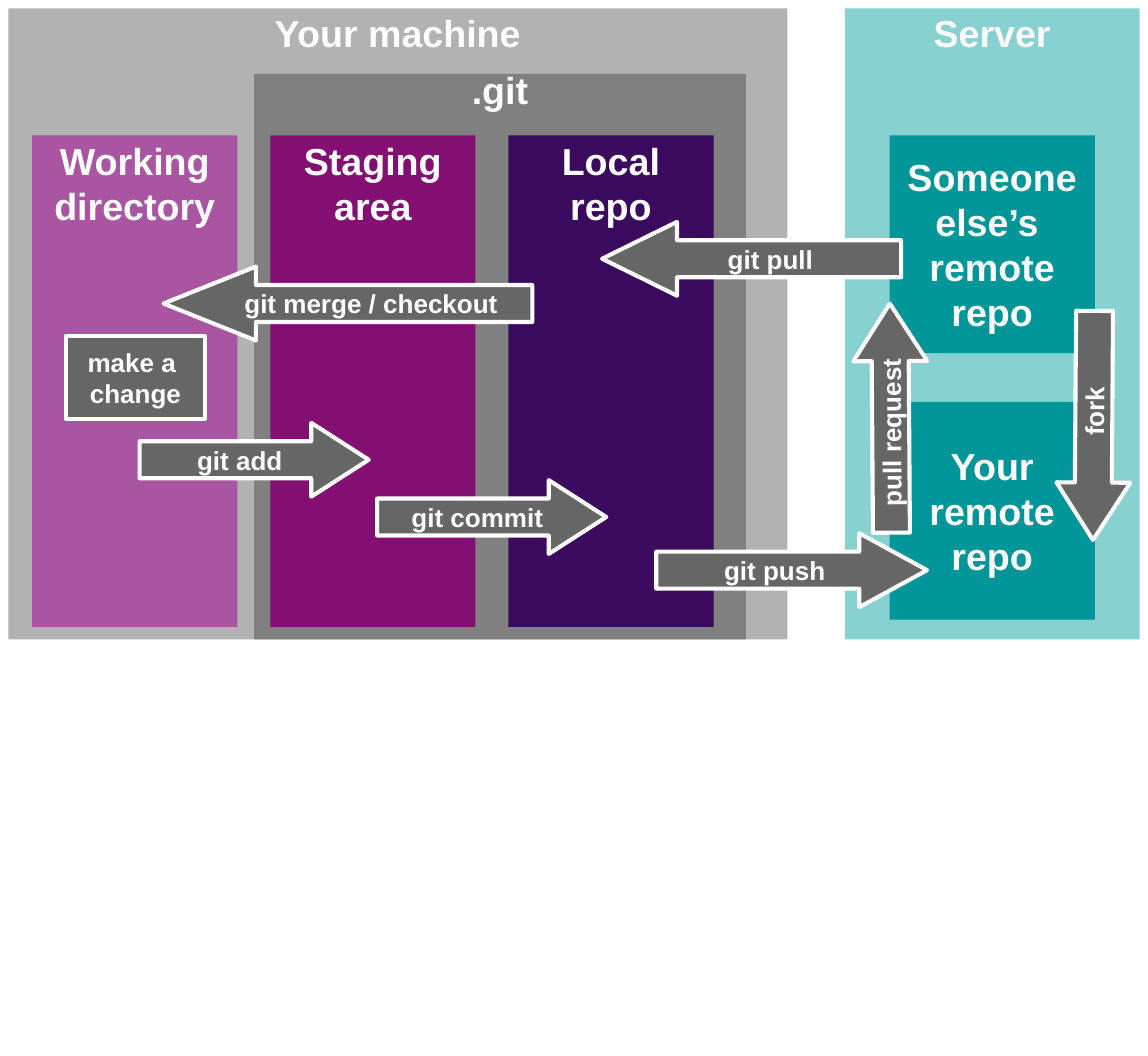
from pptx import Presentation
from pptx.dml.color import RGBColor
from pptx.enum.shapes import MSO_SHAPE
from pptx.enum.text import MSO_ANCHOR, PP_ALIGN
from pptx.util import Inches, Pt

RECT = MSO_SHAPE.RECTANGLE
RIGHT, LEFT = MSO_SHAPE.RIGHT_ARROW, MSO_SHAPE.LEFT_ARROW
TOP, MIDDLE = MSO_ANCHOR.TOP, MSO_ANCHOR.MIDDLE
CENTER = PP_ALIGN.CENTER

COLORS = {
    "machine": "B2B2B2", "git": "808080", "host": "87D1D1",
    "working": "AA55A1", "staging": "820F71", "local": "390A5D",
    "remote": "009598", "command": "666666", "white": "FFFFFF",
}
STORE_WIDTH = 1.97
ARROW_HEIGHT = 0.71


def color(name):
    return RGBColor.from_string(COLORS[name])


def write(shape, text, size=26, anchor=TOP, inset=0.02):
    """Write bold white centred lines, inset from the top of the shape."""
    frame = shape.text_frame
    frame.word_wrap = False
    frame.vertical_anchor = anchor
    frame.margin_top = Inches(inset)
    frame.text = text
    for paragraph in frame.paragraphs:
        paragraph.alignment = CENTER
        font = paragraph.font
        font.name, font.size, font.bold = "Arial", Pt(size), True
        font.color.rgb = color("white")


def block(slide, box, fill, text, kind=RECT, outline=False, **text_format):
    shape = slide.shapes.add_shape(kind, *map(Inches, box))
    shape.shadow.inherit = False
    shape.fill.solid()
    shape.fill.fore_color.rgb = color(fill)
    if outline:
        shape.line.color.rgb = color("white")
        shape.line.width = Pt(2.83)
    else:
        shape.line.fill.background()
    write(shape, text, **text_format)
    return shape


def command(slide, box, text, kind=RECT, head=None, rotation=0):
    """Draw a git command; head is the arrowhead length over its height."""
    shape = block(slide, box, "command", text, kind, outline=True,
                  size=18, anchor=MIDDLE, inset=0.05)
    if head:
        shape.adjustments[0] = 0.5
        shape.adjustments[1] = head
    shape.rotation = rotation


def your_machine(slide, left, top, width, height):
    block(slide, (left, top, width, height), "machine", "Your machine")
    # The .git folder reaches the bottom edge; its heading sits on its top edge
    block(slide, (left + 2.36, top + 0.63, 4.72, height - 0.63), "git", ".git",
          inset=-0.07)
    stores = [("working", "Working\ndirectory"), ("staging", "Staging\narea"),
              ("local", "Local\nrepo")]
    for column, (fill, text) in enumerate(stores):
        box = (left + 0.23 + 2.285 * column, top + 1.22, STORE_WIDTH, 4.72)
        block(slide, box, fill, text)


def remote_host(slide, left, top, width, height):
    block(slide, (left, top, width, height), "host", "Server")
    repos = ["Someone\nelse’s \nremote\nrepo", "Your\nremote\nrepo"]
    for row, text in enumerate(repos):
        box = (left + 0.43, top + 1.22 + 2.56 * row, STORE_WIDTH, 2.09)
        block(slide, box, "remote", text, anchor=MIDDLE, inset=0.05)


def commands(slide, left, top):
    command(slide, (left + 0.55, top + 3.15, 1.34, 0.79), "make a \nchange")
    arrows = [  # x, y, length, text, direction, head, rotation
        (1.26, 3.98, 2.2, "git add", RIGHT, 0.778, 0),
        (3.54, 4.53, 2.2, "git commit", RIGHT, 0.778, 0),
        (5.7, 2.05, 2.87, "git pull", LEFT, 1.014, 0),
        (1.49, 2.48, 3.54, "git merge / checkout", LEFT, 1.25, 0),
        (6.22, 5.04, 2.6, "git push", RIGHT, 0.917, 0),
        (9.32, 3.65, 2.2, "fork", LEFT, 0.778, 270.4),
        (7.37, 3.58, 2.2, "pull request", RIGHT, 0.778, 269.6),
    ]
    for x, y, length, text, kind, head, rotation in arrows:
        box = (left + x, top + y, length, ARROW_HEIGHT)
        command(slide, box, text, kind, head, rotation)


def main():
    prs = Presentation()
    prs.slide_width, prs.slide_height = Inches(11.02), Inches(10.14)
    slide = prs.slides.add_slide(prs.slide_layouts[6])
    your_machine(slide, 0.08, 0.08, 7.48, 6.06)
    remote_host(slide, 8.11, 0.08, 2.83, 6.06)
    commands(slide, 0.08, 0.08)
    prs.save("out.pptx")


if __name__ == "__main__":
    main()
